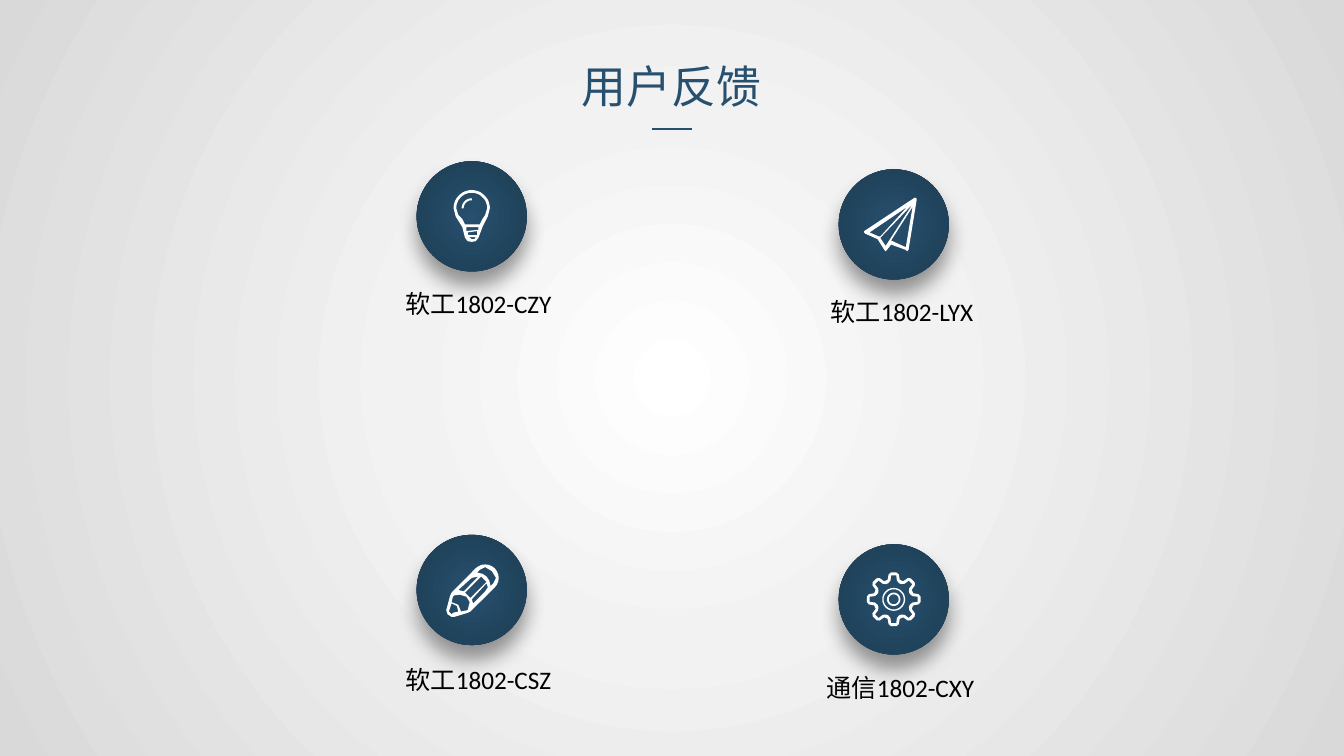
from math import cos, radians, sin

from lxml import etree
from pptx import Presentation
from pptx.dml.color import RGBColor
from pptx.enum.shapes import MSO_CONNECTOR, MSO_SHAPE
from pptx.enum.text import MSO_ANCHOR, PP_ALIGN
from pptx.oxml import parse_xml
from pptx.oxml.ns import nsdecls, qn
from pptx.util import Inches, Pt

OVAL, STRAIGHT = MSO_SHAPE.OVAL, MSO_CONNECTOR.STRAIGHT
CENTER, MIDDLE = PP_ALIGN.CENTER, MSO_ANCHOR.MIDDLE

NAVY = RGBColor(0x27, 0x50, 0x6E)
DEEP_NAVY = RGBColor(0x1D, 0x3C, 0x52)
WHITE = RGBColor(0xFF, 0xFF, 0xFF)
PALE_GREY = RGBColor(0xF2, 0xF2, 0xF2)
GREY = RGBColor(0xD9, 0xD9, 0xD9)
BLACK = RGBColor(0, 0, 0)

CJK_FONT = "Noto Sans CJK SC"
DIAMETER = 0.82


def radial_gradient(stops):
    marks = "".join(
        f'<a:gs pos="{pos * 1000}"><a:srgbClr val="{color}"/></a:gs>'
        for pos, color in stops)
    return parse_xml(
        f'<a:gradFill {nsdecls("a")} rotWithShape="1"><a:gsLst>{marks}</a:gsLst>'
        '<a:path path="circle"><a:fillToRect l="50000" t="50000" r="50000" b="50000"/>'
        '</a:path></a:gradFill>')


def fill_radial(fill, owner, stops):
    fill.solid()
    solid = owner.find(".//" + qn("a:solidFill"))
    solid.getparent().replace(solid, radial_gradient(stops))


def add_text(slide, text, left, top, width, height, size, color, font):
    box = slide.shapes.add_textbox(
        Inches(left), Inches(top), Inches(width), Inches(height))
    frame = box.text_frame
    frame.word_wrap = False
    frame.vertical_anchor = MIDDLE
    paragraph = frame.paragraphs[0]
    paragraph.alignment = CENTER
    run = paragraph.add_run()
    run.text = text
    run.font.size = Pt(size)
    run.font.name = font
    run.font.color.rgb = color
    east_asian = etree.SubElement(run.font._element, qn("a:ea"))
    east_asian.set("typeface", CJK_FONT)


def add_rule(slide, x1, x2, y):
    rule = slide.shapes.add_connector(
        STRAIGHT, Inches(x1), Inches(y), Inches(x2), Inches(y))
    rule.line.color.rgb = NAVY
    rule.line.width = Pt(1.5)
    etree.SubElement(rule._element.spPr, qn("a:effectLst"))


def add_disc(group, left, top):
    disc = group.shapes.add_shape(
        OVAL, Inches(left), Inches(top), Inches(DIAMETER), Inches(DIAMETER))
    fill_radial(disc.fill, disc._element.spPr, [(0, NAVY), (100, DEEP_NAVY)])
    disc.line.fill.background()
    disc.shadow.inherit = False
    disc._element.spPr.find(qn("a:effectLst")).append(parse_xml(
        f'<a:outerShdw {nsdecls("a")} blurRad="{Pt(11)}" dist="{Pt(8)}" dir="5400000"'
        ' algn="t" rotWithShape="0"><a:srgbClr val="000000"><a:alpha val="40000"/>'
        '</a:srgbClr></a:outerShdw>'))


def add_glyph(group, center_x, center_y, contours):
    """Fill contours given in hundredths of an inch from the disc's centre."""
    scaled = [[(x * 10, y * 10) for x, y in contour] for contour in contours]
    builder = group.shapes.build_freeform(*scaled[0][0], scale=Inches(1) / 1000)
    for number, contour in enumerate(scaled):
        if number:
            builder.move_to(*contour[0])
        builder.add_line_segments(contour[1:], close=True)
    glyph = builder.convert_to_shape(Inches(center_x), Inches(center_y))
    glyph.fill.solid()
    glyph.fill.fore_color.rgb = WHITE
    glyph.line.fill.background()
    glyph.shadow.inherit = False


# Icon geometry: each icon is a list of glyphs, each glyph a list of contours
def arc(x, y, radius, start, end, steps=24):
    angles = [radians(start + (end - start) * i / steps) for i in range(steps + 1)]
    return [(x + radius * cos(a), y + radius * sin(a)) for a in angles]


def ring(outer, inner):
    return [arc(0, 0, radius, 0, 360, 36) for radius in (outer, inner)]


def cog(tooth):
    return [(x * cos(a) - y * sin(a), x * sin(a) + y * cos(a))
            for a in (radians(45 * i) for i in range(8)) for x, y in tooth]


def bulb():
    body = [
        arc(0, -6, 13.5, 180, 360) + [(12, 0), (8, 8), (5, 16), (3, 18.5), (0, 19),
                                      (-3, 18.5), (-5, 16), (-7, 8), (-12, 0)],
        arc(0, -6, 11.5, 180, 360) + [(10, -1), (8, 2), (6, 6),
                                      (-5, 6), (-7, 2), (-10, -1)],
        [(-4, 11), (-4, 8), (5, 8), (5, 10)],
        [(-2.5, 14), (-3, 12), (4, 11), (4, 14)],
        [(0, 17), (-2, 15.5), (3, 15.5), (2, 17)],
    ]
    shine = [arc(0, -6, 7.5, 180, 270) + arc(0, -6, 6, 270, 180)]
    return [body, shine]


def paper_plane():
    return [[
        [(16, -20), (15, -19.5), (-22, 5), (-22, 6), (-21, 7), (-12, 11), (-7, 19),
         (-6, 20), (-5, 19), (-2, 15), (9, 19), (10, 20), (11, 19), (17, -18), (17, -19)],
        [(9, 17), (-2, 12), (14, -13)],
        [(-10, 10), (14, -15), (-6, 16)],
        [(-18, 6), (10, -13), (-10, 9), (-11, 9)],
    ]]


def pencil():
    return [[
        arc(10, -9, 10, 225, 405) + [(-1, 16), (-3, 17), (-13, 20), (-15, 20),
                                     (-18, 18), (-19, 15), (-16, 4), (-15, 2)],
        [(16, -5), (14, -3), (13, -7), (11, -10), (8, -12), (4, -13), (6, -15),
         (10, -17), (15, -14), (18, -9)],
        [(-8, 16), (-10, 11), (-15, 9), (-14, 5), (-13, 4), (-9, 3.5),
         (-4, 5), (-1.5, 9), (-3, 15)],
        [(-14, 17), (-15, 18), (-17, 16), (-15, 10), (-11, 12), (-10, 16)],
        [(-6, 1), (-10, 0), (0, -9), (5, -10)],
        [(-1, 6), (-3, 4), (-5, 2), (7, -10), (9, -8), (11, -6)],
        [(1, 10), (0, 7), (11, -5), (12, -2), (10, 1)],
    ]]


def gear():
    outline = cog([(-4.5, -14.5), (-3.8, -18.5), (-2, -20),
                   (2, -20), (3.8, -18.5), (4.5, -14.5)])
    hollow = cog([(-4, -12), (-2.4, -14), (-1.9, -17.8),
                  (1.9, -17.8), (2.4, -14), (4, -12)])
    return [[outline, hollow], ring(8.5, 7.5), ring(5, 3.7)]


def add_badge(slide, left, top, glyphs):
    group = slide.shapes.add_group_shape()
    add_disc(group, left, top)
    for contours in glyphs:
        add_glyph(group, left + DIAMETER / 2, top + DIAMETER / 2, contours)


def main():
    prs = Presentation()
    prs.slide_width = Inches(10)
    prs.slide_height = prs.slide_width * 9 // 16
    slide = prs.slides.add_slide(prs.slide_layouts[6])
    fill_radial(slide.background.fill, slide._element,
                [(0, WHITE), (35, PALE_GREY), (100, GREY)])

    # Title
    add_text(slide, "用户反馈", 4.23, 0.39, 1.53, 0.5, size=24, color=NAVY, font=CJK_FONT)
    add_rule(slide, 4.85, 5.15, 0.96)

    # Users: disc position, icon, name and its left edge, top and width
    users = [
        (6.24, 1.26, paper_plane(), "软工1802-LYX", 6.02, 2.15, 1.38),
        (3.10, 3.98, pencil(), "软工1802-CSZ", 2.89, 4.89, 1.34),
        (3.10, 1.20, bulb(), "软工1802-CZY", 2.89, 2.09, 1.34),
        (6.24, 4.05, gear(), "通信1802-CXY", 6.00, 4.95, 1.40),
    ]
    for left, top, glyphs, name, name_left, name_top, name_width in users:
        add_badge(slide, left, top, glyphs)
        add_text(slide, name, name_left, name_top, name_width, 0.33,
                 size=13.5, color=BLACK, font="Calibri")

    prs.save("out.pptx")


if __name__ == "__main__":
    main()
